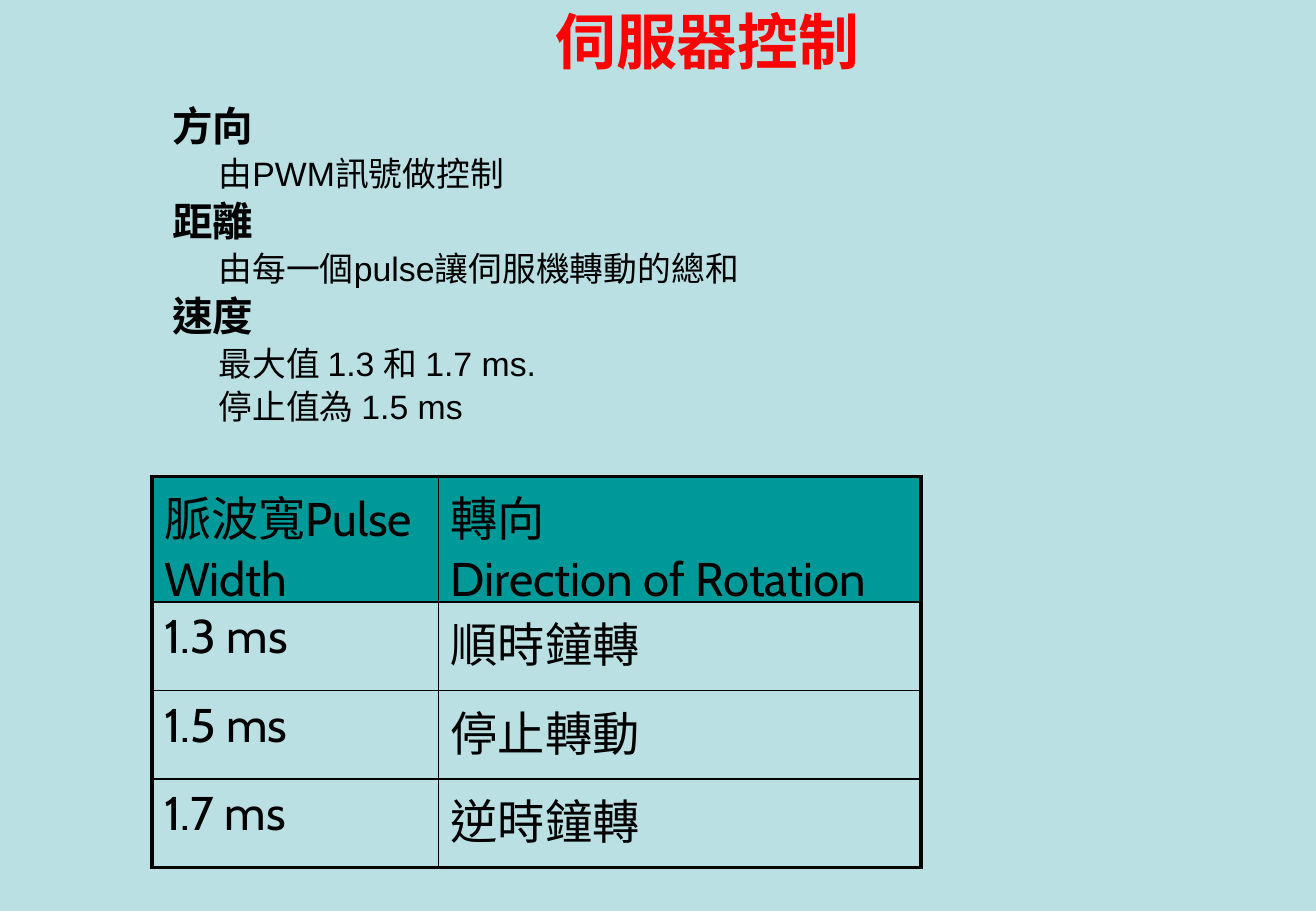
"""Builds the servo control slide: title, outline and pulse width table."""
import pptx
import pptx.dml.color
import pptx.enum.lang
import pptx.enum.text
import pptx.oxml
import pptx.oxml.ns
import pptx.util

RGBColor = pptx.dml.color.RGBColor
Inches, Pt = pptx.util.Inches, pptx.util.Pt

BACKGROUND = RGBColor(0xBB, 0xE0, 0xE3)
RED = RGBColor(0xFF, 0x00, 0x00)
BLACK = RGBColor(0x00, 0x00, 0x00)
TEAL = RGBColor(0x00, 0x99, 0x99)

TITLE = "伺服器控制"
OUTLINE = [
    ("方向", ["由PWM訊號做控制"]),
    ("距離", ["由每一個pulse讓伺服機轉動的總和"]),
    ("速度", ["最大值 1.3 和 1.7 ms.", "停止值為 1.5 ms"]),
]
TABLE = [
    (["脈波寬Pulse Width"], ["轉向", "Direction of Rotation"]),
    (["1.3 ms"], ["順時鐘轉"]),
    (["1.5 ms"], ["停止轉動"]),
    (["1.7 ms"], ["逆時鐘轉"]),
]
COLUMNS = [2.36, 3.97]
ROWS = [1.03] + [0.73] * 3
LEVELS = [(24, True, 0.28, -0.28), (20, False, 0.61, -0.23)]
OUTER, INNER = 2.25, 1


def add_run(p, text, size, font, color, bold=False):
    r = p.add_run()
    r.text = text
    r.font.size, r.font.name, r.font.bold = Pt(size), font, bold
    r.font.color.rgb = color
    r.font.language_id = pptx.enum.lang.MSO_LANGUAGE_ID.TRADITIONAL_CHINESE


def add_box(s, left, top, width, height):
    tf = s.shapes.add_textbox(*map(Inches, (left, top, width, height))).text_frame
    tf.word_wrap = True
    return tf


def next_paragraph(tf, index):
    return tf.add_paragraph() if index else tf.paragraphs[0]


def set_border(cell, side, width):
    ns = pptx.oxml.ns.nsdecls("a")
    cell._tc.get_or_add_tcPr().append(pptx.oxml.parse_xml(
        f'<a:ln{side} {ns} w="{Pt(width)}"><a:solidFill>'
        f'<a:srgbClr val="{BLACK}"/></a:solidFill></a:ln{side}>'))


def add_title(s):
    tf = add_box(s, 0.81, 0, 10.02, 0.67)
    tf.vertical_anchor = pptx.enum.text.MSO_ANCHOR.MIDDLE
    p = tf.paragraphs[0]
    p.alignment = pptx.enum.text.PP_ALIGN.CENTER
    add_run(p, TITLE, 36, "Arial", RED, True)


def add_outline(s):
    tf = add_box(s, 1.32, 0.83, 9.48, 2.83)
    lines = [(level, text) for head, details in OUTLINE
             for level, text in [(0, head)] + [(1, d) for d in details]]
    for i, (level, text) in enumerate(lines):
        size, bold, margin, indent = LEVELS[level]
        p = next_paragraph(tf, i)
        p.level, p.line_spacing = level, 0.9
        p.space_before = Pt(size * 0.2 if i else 0)
        pPr = p._p.get_or_add_pPr()
        pPr.set("marL", str(Inches(margin)))
        pPr.set("indent", str(Inches(indent)))
        add_run(p, text, size, "Arial", BLACK, bold)


def add_pulse_table(s):
    area = map(Inches, (1.25, 3.92, sum(COLUMNS), sum(ROWS)))
    table = s.shapes.add_table(len(ROWS), len(COLUMNS), *area).table
    table.first_row = table.horz_banding = False
    for column, width in zip(table.columns, COLUMNS):
        column.width = Inches(width)
    for row, height in zip(table.rows, ROWS):
        row.height = Inches(height)
    last_row, last_column = len(ROWS) - 1, len(COLUMNS) - 1
    for i, row in enumerate(TABLE):
        for j, texts in enumerate(row):
            cell = table.cell(i, j)
            edges = {"L": j == 0, "R": j == last_column,
                     "T": i == 0, "B": i == last_row}
            for side, outside in edges.items():
                set_border(cell, side, OUTER if outside else INNER)
            if i == 0:
                cell.fill.solid()
                cell.fill.fore_color.rgb = TEAL
            else:
                cell.fill.background()
            for k, text in enumerate(texts):
                add_run(next_paragraph(cell.text_frame, k), text, 28, "Cabin", BLACK)


def main():
    prs = pptx.Presentation()
    prs.slide_width, prs.slide_height = Inches(10.83), Inches(7.5)
    s = prs.slides.add_slide(prs.slide_layouts[6])
    s.background.fill.solid()
    s.background.fill.fore_color.rgb = BACKGROUND
    add_title(s)
    add_outline(s)
    add_pulse_table(s)
    prs.save("out.pptx")


if __name__ == "__main__":
    main()
